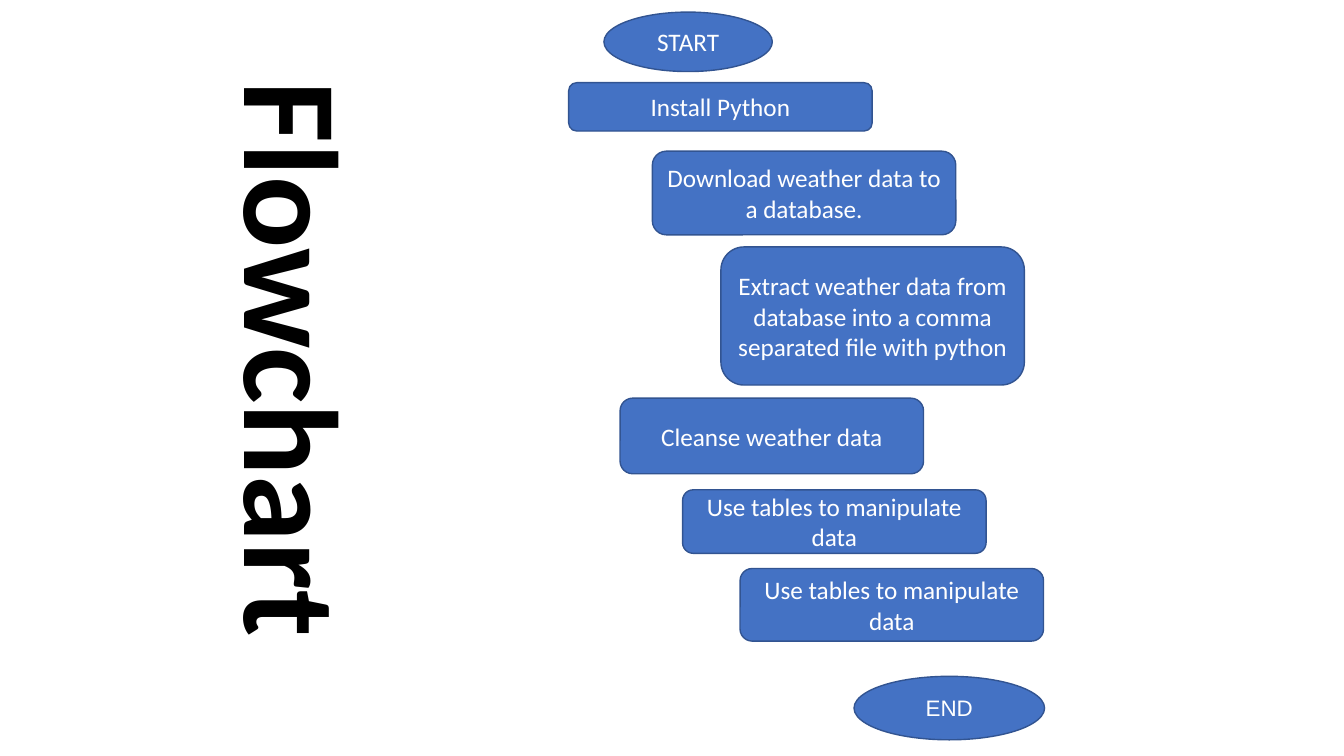
import pptx
import pptx.util
import pptx.dml.color
import pptx.enum.shapes
import pptx.enum.text

Inches = pptx.util.Inches
Pt = pptx.util.Pt
SHAPE = pptx.enum.shapes.MSO_SHAPE
ANCHOR = pptx.enum.text.MSO_ANCHOR
ALIGN = pptx.enum.text.PP_ALIGN

COLORS = {"fill": "4472C4", "line": "325491", "label": "FFFFFF", "title": "000000"}
STEP_WIDTH = 3.01

# Steps in flow order: text, left, top, height
STEPS = [
    ("Install Python", 5.64, 0.82, 0.48),
    ("Download weather data to a database.", 6.47, 1.5, 0.83),
    ("Extract weather data from database into a comma separated file with python",
     7.15, 2.45, 1.37),
    ("Cleanse weather data", 6.15, 3.95, 0.75),
    ("Use tables to manipulate data", 6.77, 4.86, 0.63),
    ("Use tables to manipulate data", 7.34, 5.64, 0.72),
]


def rgb(name):
    return pptx.dml.color.RGBColor.from_string(COLORS[name])


def set_text(sp, text, size, color, font="Calibri", bold=False,
             align=ALIGN.CENTER, anchor=ANCHOR.MIDDLE):
    tf = sp.text_frame
    tf.text = text
    tf.word_wrap = True
    tf.vertical_anchor = anchor
    p = tf.paragraphs[0]
    p.alignment = align
    r = p.runs[0]
    r.font.name = font
    r.font.size = Pt(size)
    r.font.bold = bold
    r.font.color.rgb = rgb(color)
    return p


def add_title(s, text):
    sp = s.shapes.add_textbox(Inches(-0.26), Inches(3.06), Inches(6.47), Inches(1.78))
    sp.rotation = 90
    p = set_text(sp, text, 96, "title", bold=True, align=ALIGN.LEFT, anchor=ANCHOR.BOTTOM)
    p.line_spacing = 0.9


def add_node(s, kind, text, left, top, width, height, size=18, font="Calibri"):
    sp = s.shapes.add_shape(kind, Inches(left), Inches(top), Inches(width), Inches(height))
    sp.shadow.inherit = False
    sp.fill.solid()
    sp.fill.fore_color.rgb = rgb("fill")
    sp.line.color.rgb = rgb("line")
    sp.line.width = Pt(1)
    set_text(sp, text, size, "label", font)


def main():
    prs = pptx.Presentation()
    prs.slide_width = Inches(13.33)
    prs.slide_height = Inches(7.5)
    s = prs.slides.add_slide(prs.slide_layouts[6])

    add_title(s, "Flowchart")

    # Flow from start to end
    add_node(s, SHAPE.OVAL, "START", 5.99, 0.12, 1.67, 0.59)
    for text, left, top, height in STEPS:
        add_node(s, SHAPE.ROUNDED_RECTANGLE, text, left, top, STEP_WIDTH, height)
    add_node(s, SHAPE.OVAL, "END", 8.47, 6.71, 1.89, 0.63, size=16, font="Arial")

    prs.save("out.pptx")


if __name__ == "__main__":
    main()
